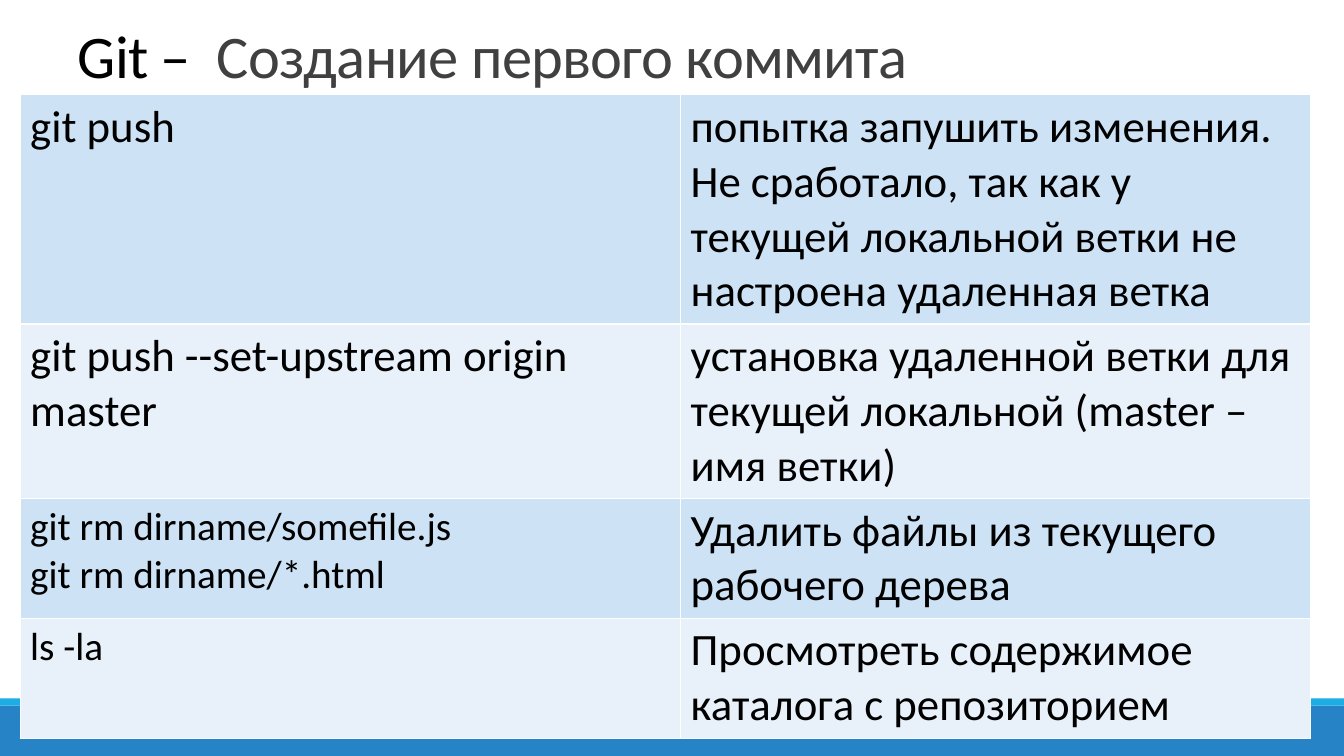
from lxml import etree
from pptx import Presentation
from pptx.dml.color import RGBColor
from pptx.enum import shapes, text
from pptx.oxml import ns
from pptx.util import Inches, Pt

BLACK = RGBColor(0x00, 0x00, 0x00)
GREY = RGBColor(0x40, 0x40, 0x40)
BLUE = RGBColor(0x26, 0x83, 0xC6)
CYAN = RGBColor(0x1C, 0xAD, 0xE4)
BANDS = [RGBColor(0xCD, 0xE3, 0xF5), RGBColor(0xE8, 0xF1, 0xFA)]
FONT = "Calibri"


def add_white_borders(cell):
    tc_pr = cell._tc.get_or_add_tcPr()
    for side in ("lnL", "lnR", "lnT", "lnB"):
        line = etree.SubElement(tc_pr, ns.qn(f"a:{side}"), w=str(Pt(1)))
        fill = etree.SubElement(line, ns.qn("a:solidFill"))
        etree.SubElement(fill, ns.qn("a:srgbClr"), val="FFFFFF")


prs = Presentation()
prs.slide_width, prs.slide_height = Inches(13.33), Inches(7.5)
s = prs.slides.add_slide(prs.slide_layouts[5])

# Footer bands
for top, height, color in [(7, 0.5, BLUE), (6.93, 0.07, CYAN)]:
    band = s.shapes.add_shape(shapes.MSO_SHAPE.RECTANGLE, 0, Inches(top),
                              prs.slide_width, Inches(height))
    band.shadow.inherit = False
    band.fill.solid()
    band.fill.fore_color.rgb = color
    band.line.fill.background()

# Title
title = s.shapes.title
title.left, title.top = Inches(0.67), Inches(0.26)
title.width, title.height = Inches(11), Inches(0.69)
tf = title.text_frame
tf.auto_size = text.MSO_AUTO_SIZE.NONE
tf.word_wrap = True
tf.vertical_anchor = text.MSO_ANCHOR.BOTTOM
p = tf.paragraphs[0]
p.alignment = text.PP_ALIGN.LEFT
p.line_spacing = 0.85
for words, color in [("Git –  ", BLACK), ("Создание первого коммита", GREY)]:
    r = p.add_run()
    r.text = words
    r.font.name = FONT
    r.font.size = Pt(43.2)
    r.font.color.rgb = color
    r.font._element.set("spc", "-50")

# Commands: row height, command, command size, explanation
rows = [
    (2.27, "git push", 32,
     "попытка запушить изменения. Не сработало, так как у\n"
     "текущей локальной ветки не настроена удаленная ветка"),
    (1.73, "git push --set-upstream origin master", 32,
     "установка удаленной ветки для\n"
     "текущей локальной (master – имя ветки)"),
    (1.19, "git rm dirname/somefile.js\ngit rm dirname/*.html", 28,
     "Удалить файлы из текущего рабочего дерева"),
    (1.19, "ls -la", 28,
     "Просмотреть содержимое каталога с репозиторием"),
]
table = s.shapes.add_table(len(rows), 2, Inches(0.2), Inches(0.94),
                           Inches(12.8), Inches(6.38)).table
table.first_row = table.horz_banding = False
table.columns[0].width = Inches(6.55)
table.columns[1].width = Inches(6.25)
for i, (height, command, size, explanation) in enumerate(rows):
    table.rows[i].height = Inches(height)
    for j, (words, points) in enumerate([(command, size), (explanation, 32)]):
        cell = table.cell(i, j)
        add_white_borders(cell)
        cell.fill.solid()
        cell.fill.fore_color.rgb = BANDS[i % 2]
        cell.text_frame.text = words
        for p in cell.text_frame.paragraphs:
            for r in p.runs:
                r.font.name = FONT
                r.font.size = Pt(points)
                r.font.color.rgb = BLACK

prs.save("out.pptx")
